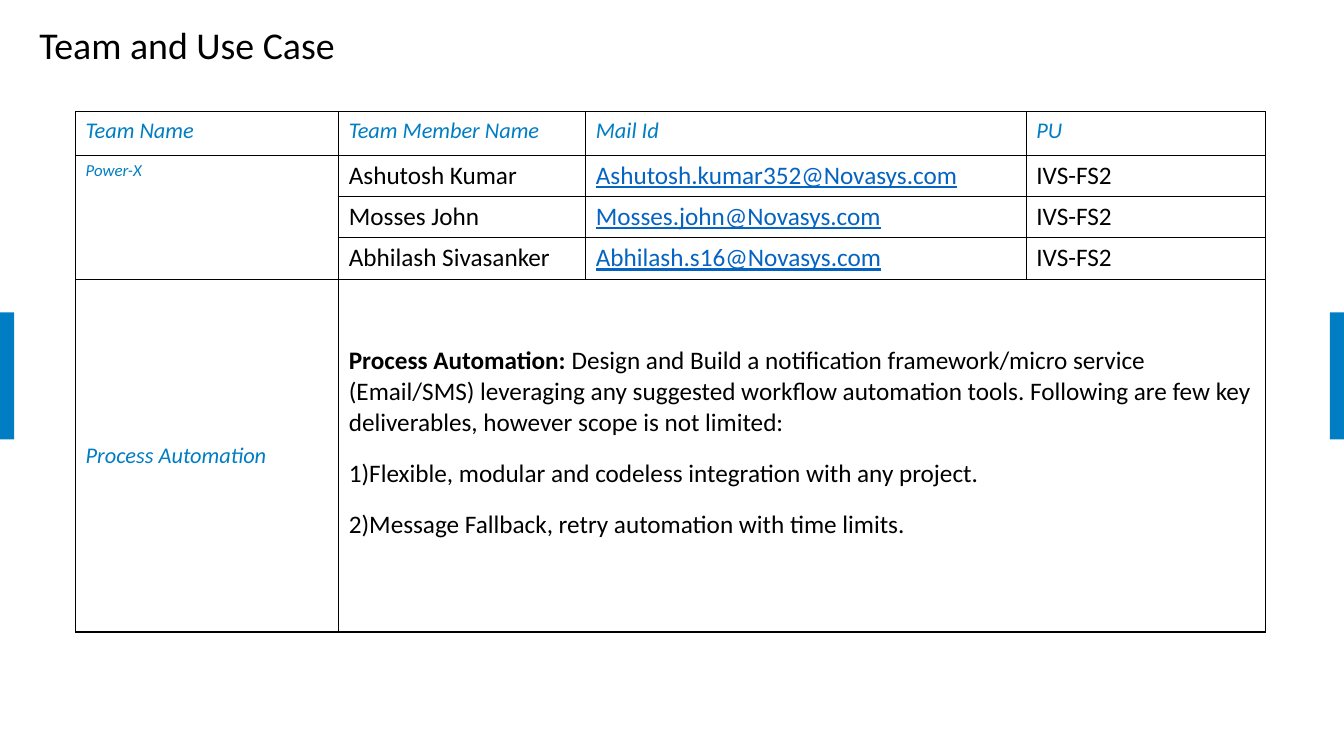
"""Builds the team and use case slide."""
from lxml.etree import SubElement
from pptx import Presentation
from pptx.dml.color import RGBColor
from pptx.enum.shapes import MSO_SHAPE
from pptx.enum.text import MSO_ANCHOR, PP_ALIGN
from pptx.oxml import parse_xml
from pptx.oxml.ns import nsdecls
from pptx.util import Inches, Pt

BLUE = RGBColor(0x00, 0x7D, 0xC3)
LINK = RGBColor(0x05, 0x63, 0xC1)
BLACK = RGBColor(0x00, 0x00, 0x00)
WHITE = RGBColor(0xFF, 0xFF, 0xFF)


def write(para, text, size=18, color=BLACK, bold=False, italic=False, underline=False):
    span = para.add_run()
    span.text = text
    font = span.font
    font.name = "Calibri"
    font.size = Pt(size)
    font.color.rgb = color
    font.bold, font.italic, font.underline = bold, italic, underline


deck = Presentation()
deck.slide_width, deck.slide_height = Inches(13.33), Inches(7.5)
page = deck.slides.add_slide(deck.slide_layouts[5])

for left in (0, 13.19):
    bar = page.shapes.add_shape(
        MSO_SHAPE.RECTANGLE, Inches(left), Inches(3.1), Inches(0.14), Inches(1.26))
    bar.shadow.inherit = False
    bar.fill.solid()
    bar.fill.fore_color.rgb = BLUE
    bar.line.fill.background()

title = page.shapes.title
title.left, title.top = Inches(0.29), Inches(0.22)
title.width, title.height = Inches(12.72), Inches(0.66)
title.text_frame.vertical_anchor = MSO_ANCHOR.TOP
heading = title.text_frame.paragraphs[0]
heading.alignment = PP_ALIGN.LEFT
heading.line_spacing = 0.9
write(heading, "Team and Use Case", size=27)

widths = [2.61, 2.45, 4.37, 2.37]
heights = [0.43, 0.41, 0.41, 0.41, 3.5]
table = page.shapes.add_table(
    len(heights), len(widths), Inches(0.75), Inches(1.11),
    Inches(sum(widths)), Inches(sum(heights))).table
table.first_row = table.horz_banding = False
for column, width in zip(table.columns, widths):
    column.width = Inches(width)
for row, height in zip(table.rows, heights):
    row.height = Inches(height)

for cell in table.iter_cells():
    cell.fill.solid()
    cell.fill.fore_color.rgb = WHITE
    properties = cell._tc.get_or_add_tcPr()
    for index, side in enumerate(("lnL", "lnR", "lnT", "lnB")):
        border = parse_xml(f'<a:{side} {nsdecls("a")} w="12700"><a:solidFill/></a:{side}>')
        SubElement(border[0], border[0].tag.replace("solidFill", "srgbClr"), val=str(BLACK))
        properties.insert(index, border)

table.cell(1, 0).merge(table.cell(3, 0))
table.cell(4, 1).merge(table.cell(4, 3))

for column, label in enumerate(("Team Name", "Team Member Name", "Mail Id", "PU")):
    write(table.cell(0, column).text_frame.paragraphs[0], label,
          size=16, color=BLUE, italic=True)

write(table.cell(1, 0).text_frame.paragraphs[0], "Power-X", size=12, color=BLUE, italic=True)

members = [
    ("Ashutosh Kumar", "Ashutosh.kumar352"),
    ("Mosses John", "Mosses.john"),
    ("Abhilash Sivasanker", "Abhilash.s16"),
]
for row, (name, mailbox) in enumerate(members, start=1):
    name_para, mail_para, unit_para = (
        table.cell(row, column).text_frame.paragraphs[0] for column in (1, 2, 3))
    write(name_para, name)
    write(mail_para, f"{mailbox}@Novasys.com", color=LINK, underline=True)
    write(unit_para, "IVS-FS2")

use_case = table.cell(4, 0)
use_case.vertical_anchor = MSO_ANCHOR.MIDDLE
write(use_case.text_frame.paragraphs[0], "Process Automation", size=16, color=BLUE, italic=True)

scope = table.cell(4, 1)
scope.margin_top = Inches(0.66)
intro = scope.text_frame.paragraphs[0]
write(intro, "Process Automation:", bold=True)
write(intro, "\u00a0Design and Build a notification framework/micro service (Email/SMS) "
             "leveraging any suggested workflow automation tools. Following are few key "
             "deliverables, however scope is not limited:")
for deliverable in (
    "1)Flexible, modular and codeless integration with any project.",
    "2)Message Fallback, retry automation with time limits.",
):
    para = scope.text_frame.add_paragraph()
    para.space_before = Pt(14.6)
    write(para, deliverable)

deck.save("out.pptx")
